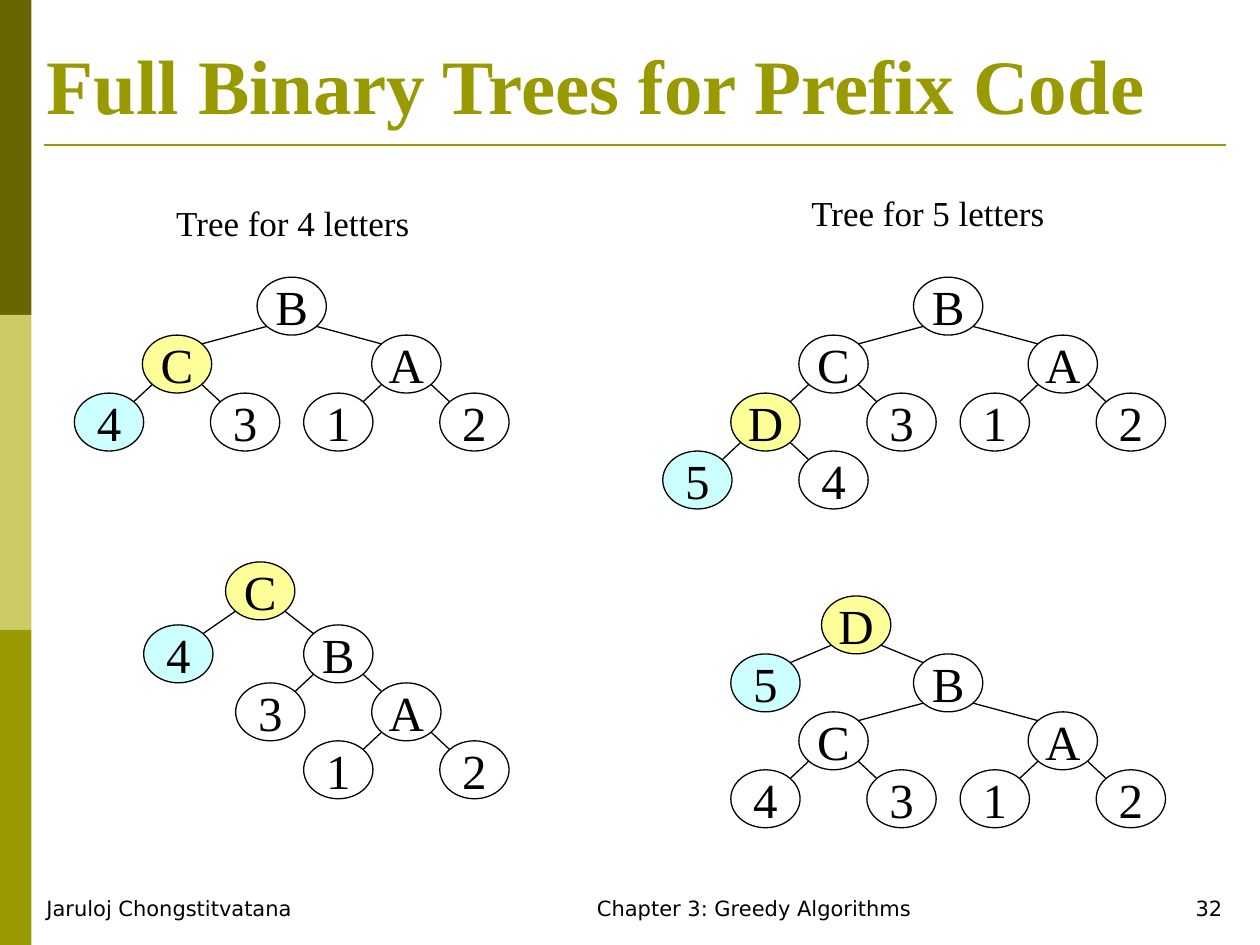
"""Build the slide showing full binary trees for prefix codes."""
import lxml.etree
import pptx
import pptx.dml.color
import pptx.enum.shapes
import pptx.enum.text
import pptx.oxml.ns
import pptx.util

Inches = pptx.util.Inches
ALIGN = pptx.enum.text.PP_ALIGN
ANCHOR = pptx.enum.text.MSO_ANCHOR
SHAPE = pptx.enum.shapes.MSO_SHAPE
SERIF, SANS = "Times New Roman", "DejaVu Sans"
COLOURS = {
    "dark": "666600", "light": "CCCC66", "olive": "999900", "black": "000000",
    "white": "FFFFFF", "parent": "FFFF99", "leaf": "CCFFFF",
}
RGB = {name: pptx.dml.color.RGBColor.from_string(value) for name, value in COLOURS.items()}


def write_text(shape, text, size, font, colour="black", align=ALIGN.LEFT, bold=False,
               anchor=ANCHOR.TOP, margins=(0.1, 0.05)):
    """Put one formatted paragraph into a shape."""
    frame = shape.text_frame
    side, end = map(Inches, margins)
    frame_format = {"word_wrap": True, "vertical_anchor": anchor, "margin_left": side,
                    "margin_right": side, "margin_top": end, "margin_bottom": end}
    for name, value in frame_format.items():
        setattr(frame, name, value)
    paragraph = frame.paragraphs[0]
    paragraph.text = text
    paragraph.alignment = align
    for name, value in {"size": pptx.util.Pt(size), "name": font, "bold": bold}.items():
        setattr(paragraph.font, name, value)
    paragraph.font.color.rgb = RGB[colour]


def add_line(shapes, start, end, colour, width):
    """Draw a straight line between two points given in inches."""
    line = shapes.add_connector(pptx.enum.shapes.MSO_CONNECTOR.STRAIGHT,
                                *map(Inches, (*start, *end)))
    line.line.color.rgb = RGB[colour]
    line.line.width = pptx.util.Pt(width)
    lxml.etree.SubElement(line._element.spPr, pptx.oxml.ns.qn("a:effectLst"))


presentation = pptx.Presentation()
presentation.slide_width = Inches(10)
presentation.slide_height = Inches(7.5)
slide = presentation.slides.add_slide(presentation.slide_layouts[6])

for row, colour in enumerate(("dark", "light", "olive")):
    band = slide.shapes.add_shape(SHAPE.RECTANGLE, 0, Inches(2.5 * row), Inches(0.25), Inches(2.5))
    band.shadow.inherit = False
    band.fill.solid()
    band.fill.fore_color.rgb = RGB[colour]
    band.line.fill.background()
add_line(slide.shapes, (0.35, 1.15), (9.73, 1.15), "olive", 1.5)

title = slide.shapes.add_textbox(*map(Inches, (0.27, 0.21, 9.53, 0.87)))
write_text(title, "Full Binary Trees for Prefix Code", 44, SERIF, "olive", bold=True,
           anchor=ANCHOR.BOTTOM)

footers = [
    ("Jaruloj Chongstitvatana", 0.27, 3.15, ALIGN.LEFT),
    ("Chapter 3: Greedy Algorithms", 3.42, 5.13, ALIGN.CENTER),
    ("32", 8.7, 1.1, ALIGN.RIGHT),
]
for text, left, width, align in footers:
    footer = slide.shapes.add_textbox(*map(Inches, (left, 7.06, width, 0.28)))
    write_text(footer, text, 12, SANS, align=align)

NODE_WIDTH, NODE_HEIGHT = 0.55, 0.46
EDGE_X, EDGE_Y = 0.08, 0.07
NEAR, FAR = 0.54, 0.91
a_branch = [("A", "B", FAR), ("1", "A", -NEAR), ("2", "A", NEAR)]
c_branch = [("C", "B", -FAR), ("3", "C", NEAR)]
trees = [
    {"root": ("B", 2.04, 2.2), "drop": 0.46, "parent": "C", "leaf": "4",
     "caption": ("Tree for 4 letters", 1.3, 1.55),
     "children": c_branch + [("4", "C", -NEAR)] + a_branch},
    {"root": ("B", 7.25, 2.2), "drop": 0.46, "parent": "D", "leaf": "5",
     "caption": ("Tree for 5 letters", 6.34, 1.47),
     "children": c_branch + [("D", "C", -NEAR), ("5", "D", -NEAR), ("4", "D", NEAR)] + a_branch},
    {"root": ("C", 1.79, 4.46), "drop": 0.5, "parent": "C", "leaf": "4",
     "children": [("4", "C", -0.65), ("B", "C", 0.62), ("3", "B", -NEAR), ("A", "B", NEAR)]
     + a_branch[1:]},
    {"root": ("D", 6.52, 4.73), "drop": 0.46, "parent": "D", "leaf": "5",
     "children": [("5", "D", -0.72), ("B", "D", 0.73)] + c_branch + [("4", "C", -NEAR)] + a_branch},
]

for tree in trees:
    shapes = slide.shapes.add_group_shape().shapes
    root, root_left, root_top = tree["root"]
    places = {root: (root_left, root_top)}
    for label, parent, shift in tree["children"]:
        left, top = places[parent]
        drop = tree["drop"] if parent == root else NODE_HEIGHT
        places[label] = (left + shift, top + drop)
        inner, outer = EDGE_X, NODE_WIDTH - EDGE_X
        start_x, end_x = (inner, outer) if shift < 0 else (outer, inner)
        add_line(shapes, (left + start_x, top + NODE_HEIGHT - EDGE_Y),
                 (left + shift + end_x, top + drop + EDGE_Y), "black", 0.75)
    fills = {tree["parent"]: "parent", tree["leaf"]: "leaf"}
    for label, (left, top) in places.items():
        node = shapes.add_shape(SHAPE.OVAL, *map(Inches, (left, top, NODE_WIDTH, NODE_HEIGHT)))
        node.shadow.inherit = False
        node.fill.solid()
        node.fill.fore_color.rgb = RGB[fills.get(label, "white")]
        node.line.color.rgb = RGB["black"]
        node.line.width = pptx.util.Pt(0.75)
        write_text(node, label, 28, SERIF, align=ALIGN.CENTER, anchor=ANCHOR.MIDDLE, margins=(0, 0))
    if "caption" in tree:
        text, left, top = tree["caption"]
        caption = shapes.add_textbox(*map(Inches, (left, top, 2.18, 0.46)))
        write_text(caption, text, 20, SERIF)

presentation.save("out.pptx")
